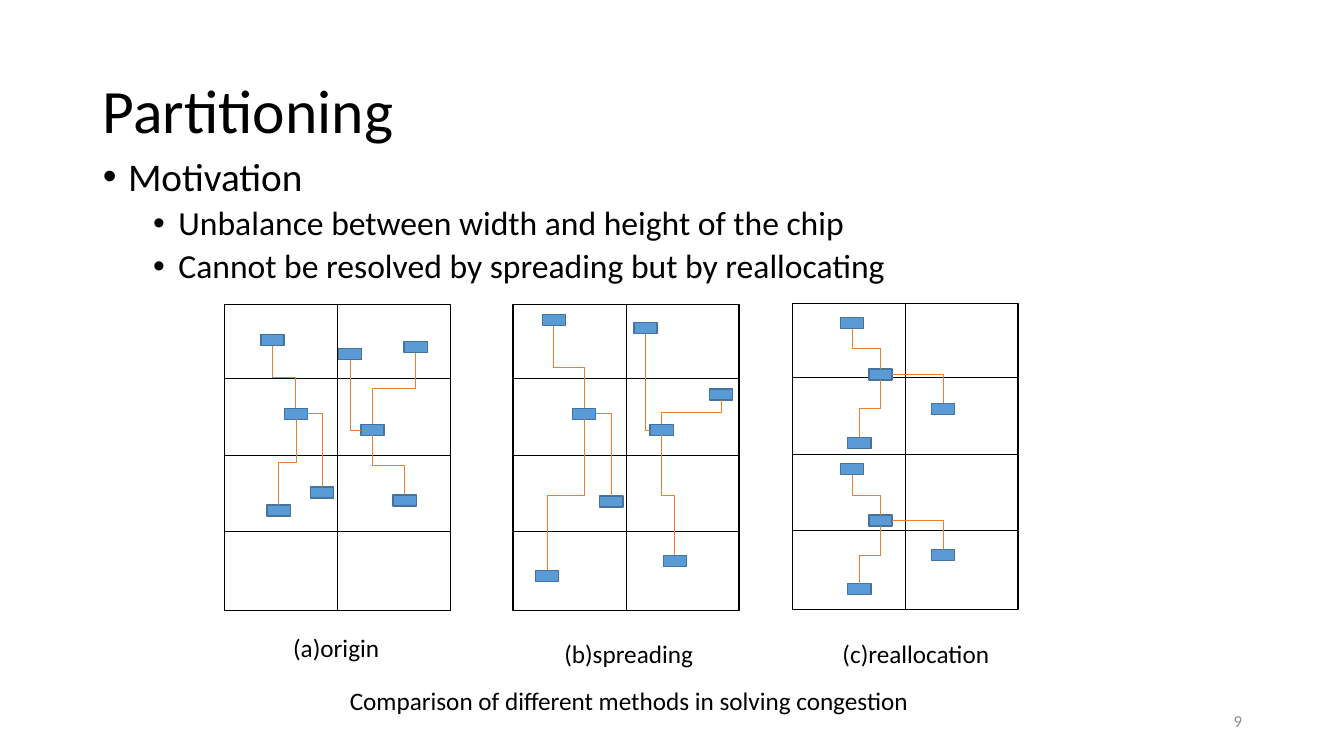
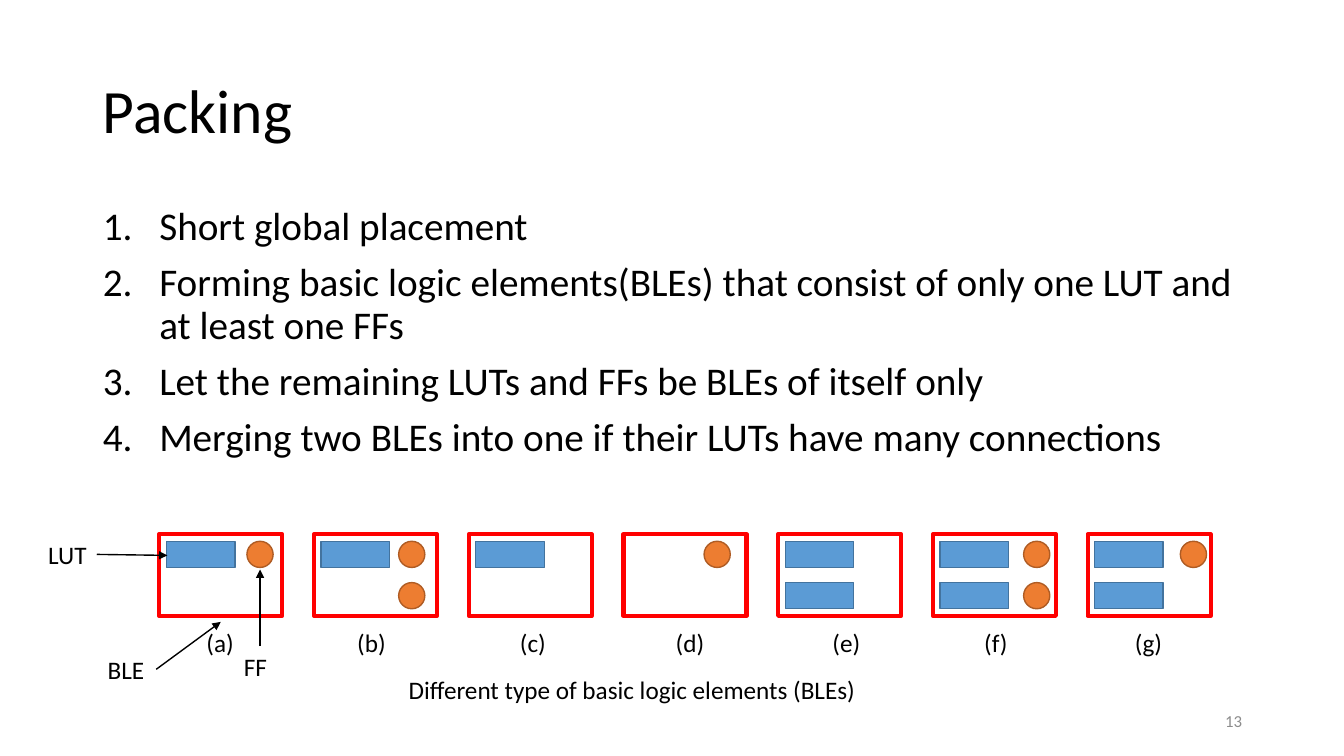
from lxml.etree import SubElement
from pptx import Presentation
from pptx.dml.color import RGBColor
from pptx.enum.shapes import MSO_CONNECTOR, MSO_SHAPE
from pptx.enum.text import MSO_ANCHOR, MSO_AUTO_SIZE, PP_ALIGN
from pptx.oxml.ns import qn
from pptx.util import Inches, Pt

# Every length counts columns or rows of a grid; ten of them make an inch.
STEP = Inches(0.1)
WIDTH, HEIGHT = 133.33, 75

FONT = "Calibri"
BLACK, WHITE, GREY = "000000", "FFFFFF", "8C8C8C"
BLUE, NAVY = "5B9BD5", "43739E"
ORANGE, BROWN, RED = "ED7D31", "AF5C24", "FF0000"
LEFT, CENTER, RIGHT = PP_ALIGN.LEFT, PP_ALIGN.CENTER, PP_ALIGN.RIGHT

# Connection sites of a rectangle
TOP, WEST, BASE, EAST = range(4)

# Chip panels: wide and high, row lines, node size
CHIP = (22.4, 30.4)
ROWS = (7.3, 15, 22.5)
NODE = (2.3, 1.1)

# Each wire: upper node, its site, lower node, its site
TWO_NETS = [
    (0, BASE, 3, TOP), (1, BASE, 2, TOP), (3, BASE, 4, TOP),
    (2, BASE, 5, TOP), (3, EAST, 6, TOP), (7, BASE, 2, WEST),
]
NET = [(0, BASE, 1, TOP), (1, BASE, 2, TOP), (1, EAST, 3, TOP)]
NET_NODES = [(4.8, 1.4), (7.6, 6.5), (5.5, 13.3), (13.8, 9.9)]
NET_DROP = 14.5

# Each panel: left, top, nodes, wires
PANELS = [
    (22.3, 30.2,
     [(3.6, 3), (17.8, 3.7), (13.5, 11.9), (5.9, 10.3),
      (4.2, 19.9), (16.7, 18.9), (8.5, 18.1), (11.3, 4.4)], TWO_NETS),
    (50.9, 30.2,
     [(2.9, 1), (19.5, 8.4), (13.6, 11.9), (5.9, 10.3),
      (2.2, 26.4), (14.9, 24.9), (8.6, 19), (12, 1.8)], TWO_NETS),
    (78.6, 30.1,
     NET_NODES + [(x, y + NET_DROP) for x, y in NET_NODES],
     NET + [(a + 4, s, b + 4, t) for a, s, b, t in NET]),
]
PANEL_TAGS = [
    ("(a)origin", 28.1, 62.2), ("(b)spreading", 55, 62.8),
    ("(c)reallocation", 82.6, 62.8),
]

# Each element: label, label offset, LUT count, FF count, FF offset
ELEMENTS = [
    ("(a)", 3.7, 1, 1, 8.7), ("(b)", 3.3, 1, 2, 8.4),
    ("(c)", 4.1, 1, 0, 0), ("(d)", 4.2, 0, 1, 8),
    ("(e)", 4.4, 2, 0, 0), ("(f)", 4.1, 2, 2, 9),
    ("(g)", 3.7, 2, 1, 9.2),
]
FIRST, PITCH, SHELF = 15.8, 15.35, 53
POINTERS = [
    ("LUT", 3.8, 53, (9.6, 55), (16.6, 55.1)),
    ("FF", 23.2, 64.1, (25.8, 64.1), (25.8, 56.5)),
    ("BLE", 9.7, 64.4, (15.5, 66.4), (21.9, 61.7)),
]


def grid(*steps):
    return [round(n * STEP) for n in steps]


def color(value):
    return RGBColor.from_string(value)


def write(para, text, size=18, tint=BLACK, align=LEFT, lines=None, before=0):
    run = para.add_run()
    run.text = text
    run.font.name, run.font.size = FONT, Pt(size)
    run.font.color.rgb = color(tint)
    para.alignment = align
    para.space_before = Pt(before)
    if lines:
        para.line_spacing = lines


def label(slide, text, x, y, w, h=4, anchor=MSO_ANCHOR.TOP, **style):
    frame = slide.shapes.add_textbox(*grid(x, y, w, h)).text_frame
    frame.word_wrap = True
    frame.vertical_anchor = anchor
    write(frame.paragraphs[0], text, **style)


def shape(host, kind, x, y, w, h, fill=None, edge=BLACK, width=1):
    item = host.shapes.add_shape(kind, *grid(x, y, w, h))
    item.shadow.inherit = False
    if fill:
        item.fill.solid()
        item.fill.fore_color.rgb = color(fill)
    else:
        item.fill.background()
    item.line.color.rgb = color(edge)
    item.line.width = Pt(width)
    return item


def line(slide, start, end, kind=MSO_CONNECTOR.STRAIGHT, tint=BLACK,
         width=0.5, arrow=False):
    item = slide.shapes.add_connector(kind, *grid(*start, *end))
    item.line.color.rgb = color(tint)
    item.line.width = Pt(width)
    props = item._element.spPr
    if arrow:
        SubElement(props.find(qn("a:ln")), qn("a:tailEnd"), type="triangle")
    SubElement(props, qn("a:effectLst"))
    return item


def wire(slide, upper, out, lower, into):
    """Join two nodes with an elbow that leaves and enters at given sites."""
    item = line(slide, (0, 0), (1, 1), MSO_CONNECTOR.ELBOW, ORANGE)
    item.begin_connect(upper, out)
    item.end_connect(lower, into)
    if (out, into) != (BASE, TOP):
        geom = item._element.spPr.find(qn("a:prstGeom"))
        geom.set("prst", "bentConnector2")
    if out == EAST:
        return
    # A wire that starts downwards is a sideways one, turned about its middle.
    x1, y1, x2, y2 = item.begin_x, item.begin_y, item.end_x, item.end_y
    midx, midy = (x1 + x2) // 2, (y1 + y2) // 2
    halfw, halfh = (y2 - y1) // 2, abs(x2 - x1) // 2
    side = 1 if x2 > x1 else -1
    item.begin_x, item.end_x = midx + side * halfw, midx - side * halfw
    item.begin_y, item.end_y = midy - halfh, midy + halfh
    item.rotation = 270 if side > 0 else 90


def bullet(para, margin, hang, number=False):
    props = para._p.get_or_add_pPr()
    props.set("marL", str(Inches(margin)))
    props.set("indent", str(-Inches(hang)))
    if number:
        SubElement(props, qn("a:buFont"), typeface="+mj-lt")
        SubElement(props, qn("a:buAutoNum"), type="arabicPeriod")
    else:
        SubElement(props, qn("a:buFont"), typeface="Arial")
        SubElement(props, qn("a:buChar"), char="•")


def place(holder, x, y, w, h, anchor):
    holder.left, holder.top, holder.width, holder.height = grid(x, y, w, h)
    frame = holder.text_frame
    frame.auto_size = MSO_AUTO_SIZE.NONE
    frame.word_wrap = True
    frame.vertical_anchor = anchor
    return frame


def page(deck, title, items, top, high, number, ordered=False):
    """Add a slide with title, list of (level, text) and page number."""
    slide = deck.slides.add_slide(deck.slide_layouts[1])
    head = place(slide.shapes.title, 9.2, 4, 115, 14.5, MSO_ANCHOR.MIDDLE)
    write(head.paragraphs[0], title, size=44, lines=0.9)
    body = place(slide.placeholders[1], 9.2, top, 115, high, MSO_ANCHOR.TOP)
    for i, (level, text) in enumerate(items):
        para = body.add_paragraph() if i else body.paragraphs[0]
        para.level = level
        write(para, text, size=28 - 4 * level, lines=0.9,
              before=10 - 5 * level)
        if ordered:
            bullet(para, 0.56, 0.56, number=True)
        else:
            bullet(para, 0.25 + 0.5 * level, 0.25)
    label(slide, number, 94.2, 69.5, 30, anchor=MSO_ANCHOR.MIDDLE,
          size=12, tint=GREY, align=RIGHT)
    return slide


def chip(slide, x, y, nodes, wires):
    """Draw a panel of two columns and four rows with its placed nets."""
    w, h = CHIP
    shape(slide, MSO_SHAPE.RECTANGLE, x, y, w, h, WHITE)
    line(slide, (x + w / 2, y), (x + w / 2, y + h))
    for row in ROWS:
        line(slide, (x, y + row), (x + w, y + row))
    cells = [shape(slide, MSO_SHAPE.RECTANGLE, x + dx, y + dy, *NODE,
                   BLUE, NAVY) for dx, dy in nodes]
    for a, out, b, into in wires:
        wire(slide, cells[a], out, cells[b], into)


def element(slide, x, y, tag, shift, luts, flops, inset):
    """Draw one BLE frame with its LUTs, FFs and label."""
    group = slide.shapes.add_group_shape()
    for row in range(luts):
        shape(group, MSO_SHAPE.RECTANGLE, x + 0.7, y + 0.7 + 4.1 * row,
              6.8, 2.6, BLUE, NAVY)
    for row in range(flops):
        shape(group, MSO_SHAPE.OVAL, x + inset, y + 0.7 + 4.1 * row,
              2.6, 2.6, ORANGE, BROWN)
    shape(group, MSO_SHAPE.RECTANGLE, x, y, 12.2, 8.1, edge=RED, width=3)
    label(slide, tag, x + shift, y + 8.7, 5.2)


def partition(deck):
    slide = page(deck, "Partitioning", [
        (0, "Motivation"),
        (1, "Unbalance between width and height of the chip"),
        (1, "Cannot be resolved by spreading but by reallocating"),
    ], 15.1, 47.6, "9")
    for panel in PANELS:
        chip(slide, *panel)
    for text, x, y in PANEL_TAGS:
        label(slide, text, x, y, 18)
    label(slide, "Comparison of different methods in solving congestion",
          32.8, 67.5, 59.2, align=CENTER)


def packing(deck):
    slide = page(deck, "Packing", [
        (0, "Short global placement"),
        (0, "Forming basic logic elements(BLEs) that consist of only one "
            "LUT and at least one FFs"),
        (0, "Let the remaining LUTs and FFs be BLEs of itself only"),
        (0, "Merging two BLEs into one if their LUTs have many connections"),
    ], 20, 55, "13", ordered=True)
    for i, parts in enumerate(ELEMENTS):
        element(slide, FIRST + PITCH * i, SHELF, *parts)
    for text, x, y, start, end in POINTERS:
        label(slide, text, x, y, 6.2)
        line(slide, start, end, width=1, arrow=True)
    label(slide, "Different type of basic logic elements (BLEs)",
          32.1, 66.4, 61.2, align=CENTER)


def main():
    deck = Presentation()
    deck.slide_width, deck.slide_height = grid(WIDTH, HEIGHT)
    partition(deck)
    packing(deck)
    deck.save("out.pptx")


if __name__ == "__main__":
    main()
